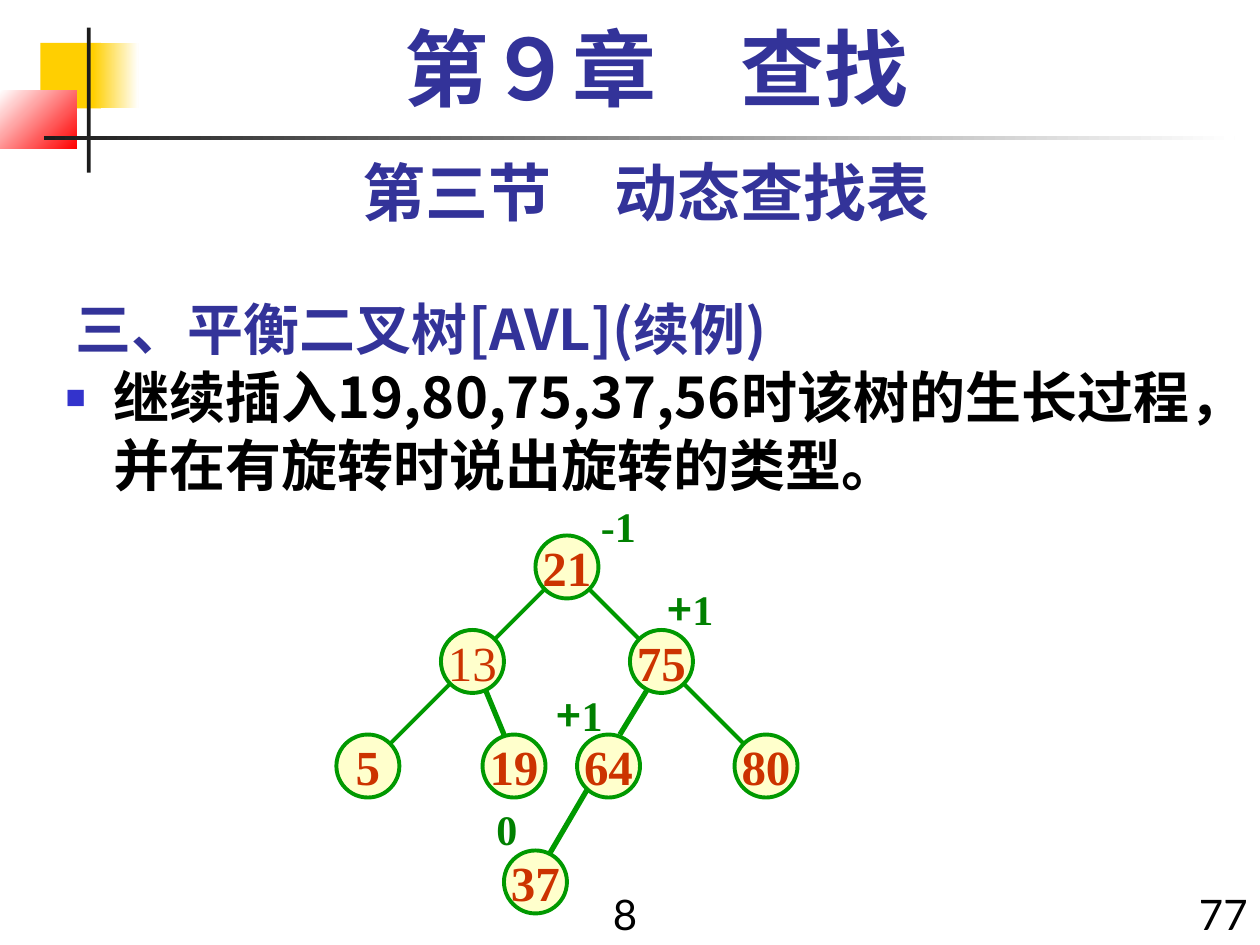
from lxml import etree
from pptx import Presentation
from pptx import util as u
from pptx.dml.color import RGBColor
from pptx.enum import shapes, text
from pptx.oxml.ns import qn

HAN, SERIF, SANS = "Noto Sans CJK SC", "Times New Roman", "Lato"
NAVY, GREEN, BLACK, WHITE = "333399", "009900", "000000", "FFFFFF"
CENTER, RIGHT = text.PP_ALIGN.CENTER, text.PP_ALIGN.RIGHT

DECOR = [
    ((0.32, 0.34, 0.48, 0.52), ["FFCF01"], 0),
    ((0.74, 0.34, 0.36, 0.52), ["FFCF01", WHITE], 0),
    ((0, 0.72, 0.61, 0.46), [WHITE, "FF0000"], 315),
    ((0.69, 0.22, 0.03, 1.15), ["1C1C1C"], 0),
    ((0.35, 1.08, 9.45, 0.03), ["1C1C1C", WHITE], 0),
]
HEADING = "三、平衡二叉树[AVL](续例)"
TASK = "继续插入19,80,75,37,56时该树的生长过程，并在有旋转时说出旋转的类型。"
CAPTIONS = [
    ("第９章　查找", (0.67, 0.17, 9.08, 0.83), 48, SERIF, NAVY, True, CENTER, 0.9),
    ("第三节　动态查找表", (0.5, 1.17, 9.25, 0.7), 36, SANS, NAVY, True, CENTER, 1),
    ("8", (4.67, 7, 0.58, 0.5), 24, SANS, BLACK, False, CENTER, 1),
    ("77", (9.33, 7, 0.67, 0.5), 24, SANS, BLACK, False, RIGHT, 1),
]
EDGES = [
    ((4.67, 6.25), (4.33, 6.83), 3),
    ((3.83, 5.42), (4, 5.83), 3),
    ((5.17, 5.42), (4.92, 5.83), 3),
    ((4.67, 4.67), (5.25, 5.25), 2.25),
    ((4.33, 4.67), (3.83, 5.17), 2.25),
    ((3.67, 5.33), (2.92, 6.08), 2.25),
    ((5.42, 5.42), (6, 6), 2.25),
]
NODES = [
    ("21", 4.25, 4.25), ("13", 3.5, 5), ("75", 5, 5), ("5", 2.67, 5.83),
    ("19", 3.83, 5.83), ("64", 4.58, 5.83), ("80", 5.83, 5.83), ("37", 4, 6.75),
]
NODE_SIZE = 0.5
BALANCES = [
    ([("-1", SERIF)], 4.67, 3.92),
    ([("+", HAN), ("1", SERIF)], 5.2, 4.58),
    ([("+", HAN), ("1", SERIF)], 4.32, 5.42),
    ([("0", SERIF)], 3.84, 6.33),
]
BALANCE_SIZE = (0.65, 0.5)


def color(value):
    return RGBColor.from_string(value)


def inches(values):
    return [u.Inches(value) for value in values]


def style(run, size, face, shade, bold=True):
    run.font.size = u.Pt(size)
    run.font.name = face
    run.font.bold = bold
    run.font.color.rgb = color(shade)
    etree.SubElement(run.font._element, qn("a:ea"), typeface=HAN)


def paint(shape, shades, angle=0):
    shape.shadow.inherit = False
    if len(shades) == 1:
        shape.fill.solid()
        shape.fill.fore_color.rgb = color(shades[0])
    else:
        shape.fill.gradient()
        shape.fill.gradient_angle = angle
        for stop, shade in zip(shape.fill.gradient_stops, shades):
            stop.color.rgb = color(shade)


def fill_placeholder(holder, box, words, shade, anchor):
    holder.left, holder.top, holder.width, holder.height = inches(box)
    frame = holder.text_frame
    frame.text = words
    frame.word_wrap = True
    frame.auto_size = text.MSO_AUTO_SIZE.NONE
    frame.vertical_anchor = anchor
    paragraph = frame.paragraphs[0]
    paragraph.alignment = text.PP_ALIGN.LEFT
    paragraph.space_before = u.Pt(0)
    paragraph.line_spacing = u.Pt(38.4)
    style(paragraph.runs[0], 32, HAN, shade)
    return frame


def add_bullet(paragraph):
    props = paragraph._p.get_or_add_pPr()
    props.set("marL", str(u.Inches(0.38)))
    props.set("indent", str(u.Inches(-0.38)))
    tint = etree.SubElement(props, qn("a:buClr"))
    etree.SubElement(tint, qn("a:srgbClr"), val="3333CC")
    etree.SubElement(props, qn("a:buSzPct"), val="60000")
    etree.SubElement(props, qn("a:buChar"), char="■")


def add_caption(slide, words, box, size, face, shade, bold, align, spacing):
    frame = slide.shapes.add_textbox(*inches(box)).text_frame
    frame.word_wrap = True
    frame.text = words
    paragraph = frame.paragraphs[0]
    paragraph.alignment = align
    paragraph.line_spacing = spacing
    style(paragraph.runs[0], size, face, shade, bold)


def add_edge(tree, start, end, width):
    edge = tree.shapes.add_connector(shapes.MSO_CONNECTOR.STRAIGHT, *inches(start + end))
    edge.line.color.rgb = color(GREEN)
    edge.line.width = u.Pt(width)
    etree.SubElement(edge._element.spPr, qn("a:effectLst"))


def add_node(tree, key, left, top):
    node = tree.shapes.add_shape(
        shapes.MSO_SHAPE.OVAL, *inches((left, top, NODE_SIZE, NODE_SIZE)))
    paint(node, ["FFFFCC"])
    node.line.color.rgb = color(GREEN)
    node.line.width = u.Pt(2.25)
    frame = node.text_frame
    frame.text = key
    frame.word_wrap = False
    frame.vertical_anchor = text.MSO_ANCHOR.MIDDLE
    paragraph = frame.paragraphs[0]
    paragraph.alignment = CENTER
    style(paragraph.runs[0], 28, SERIF, "CC3300", key != "13")


def add_balance(tree, parts, left, top):
    frame = tree.shapes.add_textbox(*inches((left, top) + BALANCE_SIZE)).text_frame
    frame.word_wrap = True
    frame.margin_right = 0
    for words, face in parts:
        run = frame.paragraphs[0].add_run()
        run.text = words
        style(run, 24, face, "008000")


def main():
    deck = Presentation()
    deck.slide_width, deck.slide_height = inches((10, 7.5))
    slide = deck.slides.add_slide(deck.slide_layouts[1])

    for box, shades, angle in DECOR:
        block = slide.shapes.add_shape(shapes.MSO_SHAPE.RECTANGLE, *inches(box))
        paint(block, shades, angle)
        block.line.fill.background()

    fill_placeholder(slide.shapes.title, (0.5, 2.17, 7.75, 0.75), HEADING,
                     NAVY, text.MSO_ANCHOR.BOTTOM)
    task = fill_placeholder(slide.placeholders[1], (0.42, 2.83, 9.58, 4.67), TASK,
                            BLACK, text.MSO_ANCHOR.TOP)
    task.margin_right = u.Inches(0.5)
    add_bullet(task.paragraphs[0])
    for caption in CAPTIONS:
        add_caption(slide, *caption)

    tree = slide.shapes.add_group_shape()
    for edge in EDGES:
        add_edge(tree, *edge)
    for node in NODES:
        add_node(tree, *node)
    for balance in BALANCES:
        add_balance(tree, *balance)

    deck.save("out.pptx")


if __name__ == "__main__":
    main()
